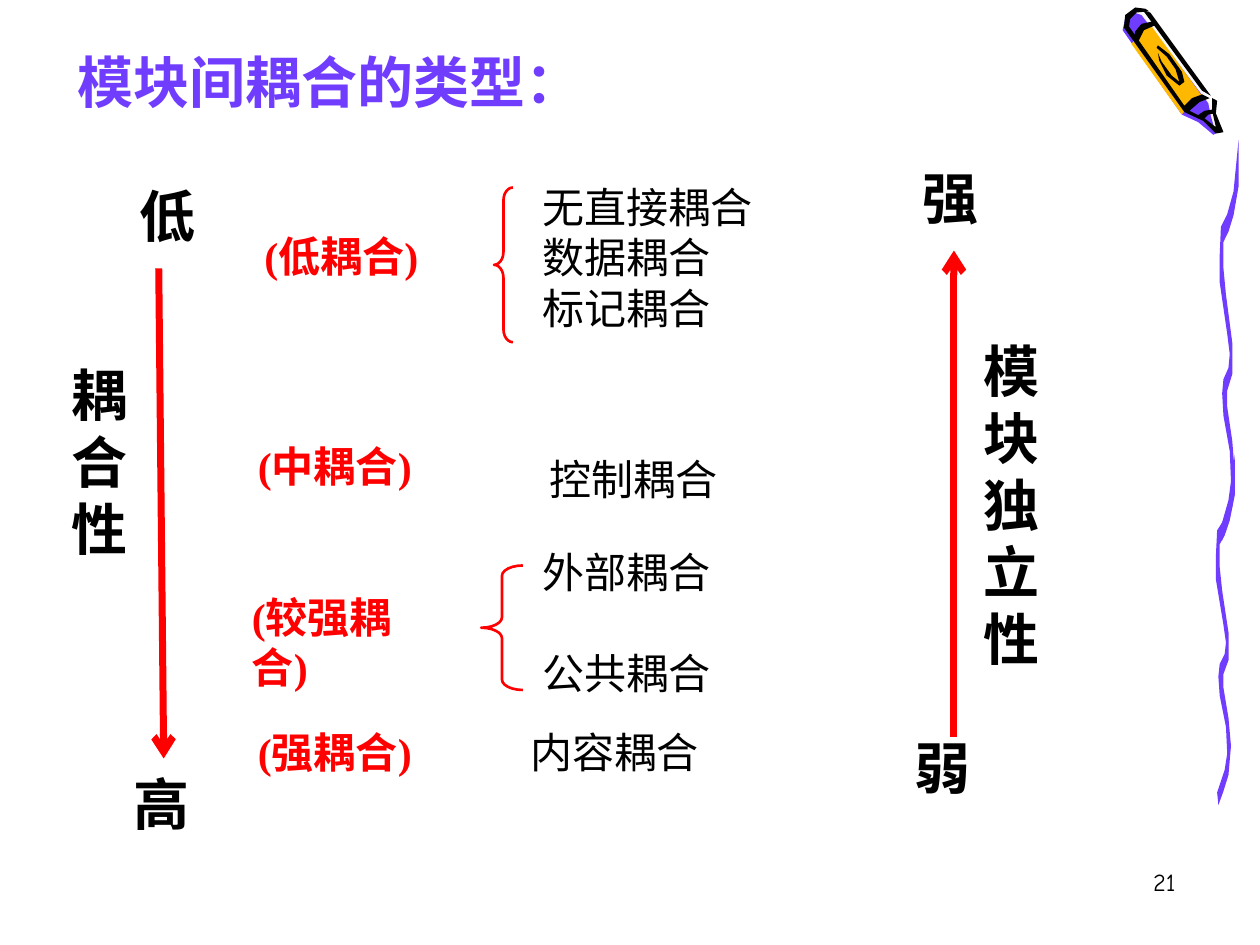
from dataclasses import dataclass

from lxml.etree import SubElement
from pptx import Presentation
from pptx.dml.color import RGBColor
from pptx.enum.shapes import MSO_CONNECTOR, MSO_SHAPE
from pptx.enum.text import MSO_ANCHOR, MSO_AUTO_SIZE, PP_ALIGN
from pptx.oxml.ns import qn
from pptx.util import Cm, Pt

COLORS = {
    "violet": "703DFF",
    "amber": "FFB800",
    "white": "F8F8F8",
    "black": "000000",
    "red": "FF0000",
}
CJK_FONT = "Noto Sans CJK SC"
GRID = Cm(0.0254)  # outline points lie on a grid of 1/100 inch

Points = list[tuple[int, int]]


@dataclass
class TextStyle:
    font: str
    size: float
    color: str
    bold: bool = False
    align: PP_ALIGN = PP_ALIGN.LEFT
    anchor: MSO_ANCHOR = MSO_ANCHOR.TOP
    grow: bool = True


@dataclass
class Label:
    text: str
    left: float
    top: float
    width: float
    height: float
    style: TextStyle
    space_before: float = 0  # points, between paragraphs


@dataclass
class Arrow:
    x1: float
    y1: float
    x2: float
    y2: float


@dataclass
class Brace:
    left: float
    top: float
    width: float
    height: float
    curve: float


@dataclass
class Outline:
    color: str
    points: Points


TITLE = TextStyle("Comic Neue", 32, "violet", True, PP_ALIGN.JUSTIFY, MSO_ANCHOR.MIDDLE, False)
NUMBER = TextStyle("Comic Neue", 14, "black", align=PP_ALIGN.RIGHT, grow=False)
AXIS = TextStyle(CJK_FONT, 32, "black", True)
LEVEL = TextStyle("Times New Roman", 24, "red", True)
KIND = TextStyle("Times New Roman", 24, "black")

LABELS = [
    Label("21", 18.67, 17.35, 5.28, 1.27, NUMBER),
    Label("模块间耦合的类型：", 1.32, 0.66, 21.16, 1.96, TITLE),
    # Axis names and ends
    Label("模\n块\n独\n立\n性", 19.58, 6.65, 1.88, 7.01, AXIS),
    Label("弱", 18.19, 14.66, 2.36, 1.6, AXIS),
    Label("强", 18.34, 3.18, 2.36, 1.6, AXIS),
    Label("高", 2.44, 15.39, 1.37, 1.6, AXIS),
    Label("低", 2.57, 3.53, 1.37, 1.6, AXIS),
    Label("耦合性", 1.19, 7.14, 1.52, 4.32, AXIS),
    # Coupling levels
    Label("(低耦合)", 5.08, 4.52, 3.99, 2.29, LEVEL),
    Label("(中耦合)", 4.95, 8.76, 4.62, 1.27, LEVEL),
    Label("(较强耦合)", 4.83, 11.79, 4.37, 2.29, LEVEL),
    Label("(强耦合)", 4.95, 14.53, 4.11, 1.27, LEVEL),
    # Coupling kinds
    Label("无直接耦合\n数据耦合\n标记耦合", 10.69, 3.53, 5.13, 3.3, KIND),
    Label("控制耦合", 10.82, 9.02, 3.89, 1.27, KIND),
    Label("外部耦合\n公共耦合", 10.69, 10.9, 4.62, 3.3, KIND, 28.5),
    Label("内容耦合", 10.44, 14.53, 5, 1.27, KIND),
]
ARROWS = [Arrow(3.2, 5.41, 3.3, 15.29), Arrow(19.23, 14.86, 19.23, 5.05)]
BRACES = [Brace(9.96, 3.78, 0.38, 3.12, 0.69), Brace(9.7, 11.4, 0.84, 2.51, 0.25)]

RIBBON = [
    (969, 418), (975, 397), (977, 382), (976, 358), (971, 330), (970, 312), (971, 301),
    (975, 292), (976, 281), (974, 265), (968, 224), (968, 203), (969, 180), (974, 170),
    (979, 152), (983, 111), (983, 148), (979, 171), (975, 184), (971, 192), (971, 213),
    (973, 234), (978, 272), (978, 297), (974, 310), (974, 323), (978, 350), (980, 375),
    (978, 402), (974, 417), (970, 429),
]
LOWER_RIBBON = [(x - 3, round(361 + (y - 111) * 0.874)) for x, y in RIBBON]

CRAYON = [
    # Body, violet side, amber wrapper
    Outline("white", [(968, 103), (963, 88), (952, 66), (909, 9), (902, 7), (896, 12),
                      (894, 22), (941, 88), (956, 95), (966, 104)]),
    Outline("violet", [(906, 12), (959, 82), (961, 92), (965, 106), (963, 107), (951, 97),
                       (938, 91), (891, 24), (893, 15), (900, 10)]),
    Outline("amber", [(898, 35), (938, 91), (946, 81), (956, 79), (914, 21), (905, 25)]),
    # Black contours: tip, edge, far side, band, oval
    Outline("black", [(962, 87), (956, 88), (950, 92), (956, 94), (959, 91), (964, 90)]),
    Outline("black", [(909, 7), (901, 6), (893, 12), (892, 22), (940, 89), (955, 96),
                      (965, 106), (971, 105), (965, 90), (966, 80), (962, 78), (962, 88),
                      (965, 101), (956, 94), (944, 88), (952, 81), (960, 78), (954, 75),
                      (946, 78), (940, 84), (896, 21), (897, 15), (902, 10), (912, 9)]),
    Outline("black", [(913, 10), (961, 76), (954, 72), (907, 8)]),
    Outline("black", [(915, 17), (906, 19), (901, 25), (900, 30), (903, 34), (908, 24),
                      (917, 20)]),
    Outline("black", [(918, 38), (926, 45), (933, 55), (936, 65), (930, 60), (922, 49),
                      (919, 42), (920, 48), (926, 60), (936, 68), (940, 65), (938, 57),
                      (928, 43), (919, 36)]),
]


def color(name: str) -> RGBColor:
    return RGBColor.from_string(COLORS[name])


def draw_outline(slide, outline: Outline) -> None:
    builder = slide.shapes.build_freeform(*outline.points[0], scale=GRID)
    builder.add_line_segments(outline.points[1:], close=True)
    shape = builder.convert_to_shape()
    shape.shadow.inherit = False
    shape.fill.solid()
    shape.fill.fore_color.rgb = color(outline.color)
    shape.line.fill.background()


def draw_label(slide, label: Label) -> None:
    style = label.style
    shape = slide.shapes.add_textbox(
        Cm(label.left), Cm(label.top), Cm(label.width), Cm(label.height))
    text_frame = shape.text_frame
    text_frame.word_wrap = True
    text_frame.auto_size = MSO_AUTO_SIZE.SHAPE_TO_FIT_TEXT if style.grow else MSO_AUTO_SIZE.NONE
    text_frame.vertical_anchor = style.anchor
    text_frame.text = label.text
    for index, paragraph in enumerate(text_frame.paragraphs):
        paragraph.alignment = style.align
        if index and label.space_before:
            paragraph.space_before = Pt(label.space_before)
        for run in paragraph.runs:
            run.font.name = style.font
            run.font.size = Pt(style.size)
            run.font.bold = style.bold
            run.font.color.rgb = color(style.color)
            SubElement(run._r.get_or_add_rPr(), qn("a:ea"), typeface=CJK_FONT)


def draw_arrow(slide, arrow: Arrow) -> None:
    connector = slide.shapes.add_connector(
        MSO_CONNECTOR.STRAIGHT, Cm(arrow.x1), Cm(arrow.y1), Cm(arrow.x2), Cm(arrow.y2))
    connector.line.color.rgb = color("red")
    connector.line.width = Pt(4)
    SubElement(connector.line._get_or_add_ln(), qn("a:tailEnd"), type="arrow")
    SubElement(connector._element.spPr, qn("a:effectLst"))


def draw_brace(slide, brace: Brace) -> None:
    shape = slide.shapes.add_shape(
        MSO_SHAPE.LEFT_BRACE, Cm(brace.left), Cm(brace.top), Cm(brace.width), Cm(brace.height))
    shape.adjustments[0] = brace.curve
    shape.shadow.inherit = False
    shape.fill.background()
    shape.line.color.rgb = color("red")
    shape.line.width = Pt(1.5)


def main() -> None:
    presentation = Presentation()
    presentation.slide_width, presentation.slide_height = Cm(25.4), Cm(19.05)
    slide = presentation.slides.add_slide(presentation.slide_layouts[6])

    # Crayon and the wavy line below it
    for points in (LOWER_RIBBON, RIBBON):
        draw_outline(slide, Outline("violet", points))
    for outline in CRAYON:
        draw_outline(slide, outline)

    # Coupling diagram
    for arrow in ARROWS:
        draw_arrow(slide, arrow)
    for brace in BRACES:
        draw_brace(slide, brace)
    for label in LABELS:
        draw_label(slide, label)

    presentation.save("out.pptx")


if __name__ == "__main__":
    main()
